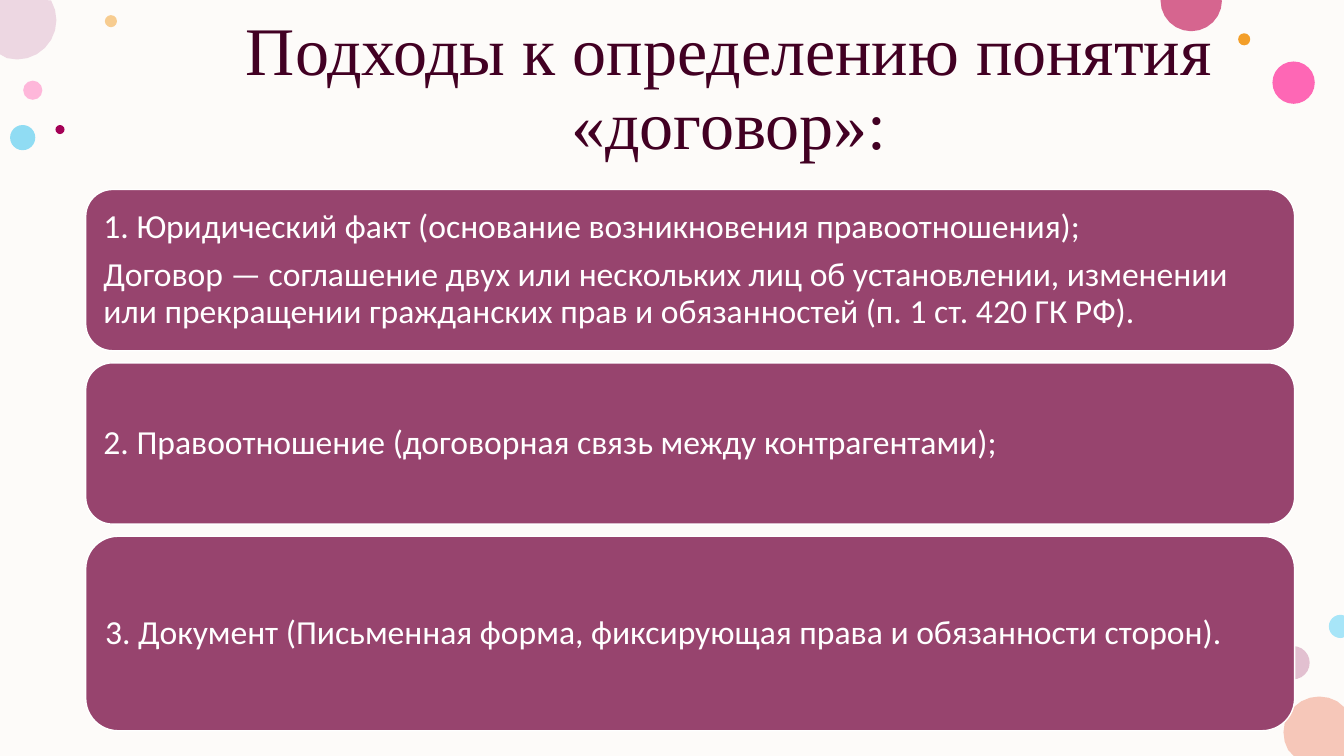
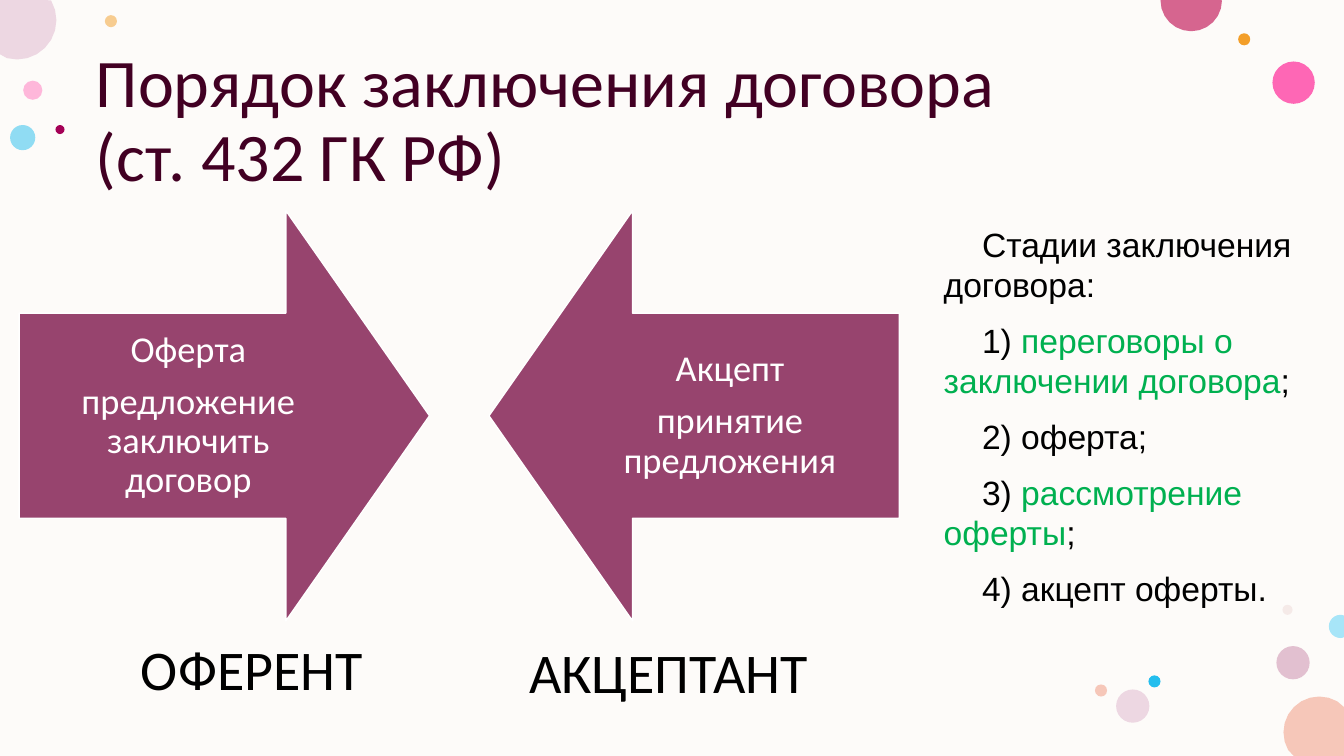
"""Build two slides on the notion of a contract and how it is concluded."""
from math import cos, pi, sin

from lxml import etree
from pptx import Presentation
from pptx.dml.color import RGBColor
from pptx.enum.shapes import MSO_SHAPE
from pptx.enum.text import MSO_ANCHOR, MSO_AUTO_SIZE, PP_ALIGN
from pptx.oxml.ns import qn
from pptx.util import Emu, Pt

RECTANGLE, OVAL = MSO_SHAPE.RECTANGLE, MSO_SHAPE.OVAL
ROUNDED = MSO_SHAPE.ROUNDED_RECTANGLE
RIGHT_ARROW, LEFT_ARROW = MSO_SHAPE.RIGHT_ARROW, MSO_SHAPE.LEFT_ARROW
LEFT, CENTER = PP_ALIGN.LEFT, PP_ALIGN.CENTER
MIDDLE, TOP = MSO_ANCHOR.MIDDLE, MSO_ANCHOR.TOP
NO_AUTOFIT = MSO_AUTO_SIZE.NONE

EMU_PER_PX = 9144
PAGE_WIDTH, PAGE_HEIGHT = 1333, 750
TITLE_ONLY, TITLE_AND_BODY = 5, 1
ARC_STEPS = 24

WHITE = RGBColor(0xFF, 0xFF, 0xFF)
BLACK = RGBColor(0x00, 0x00, 0x00)
CREAM = RGBColor(0xFD, 0xFB, 0xF9)
PLUM = RGBColor(0x97, 0x44, 0x6E)
DARK_PLUM = RGBColor(0x42, 0x00, 0x23)
CRIMSON = RGBColor(0xA4, 0x00, 0x56)
GREEN = RGBColor(0x00, 0xB0, 0x50)
PINK = RGBColor(0xFF, 0x75, 0xBD)
HOT_PINK = RGBColor(0xFF, 0x2F, 0x9C)
ROSE = RGBColor(0xD6, 0x65, 0x8F)
MAUVE = RGBColor(0xC9, 0x87, 0xA8)
LILAC = RGBColor(0xED, 0xD7, 0xE2)
DUSTY = RGBColor(0xE3, 0xBE, 0xBE)
PEACH = RGBColor(0xF6, 0xC7, 0xB9)
ORANGE = RGBColor(0xF3, 0x9E, 0x29)
CYAN = RGBColor(0x24, 0xBE, 0xEE)
PALE_CYAN = RGBColor(0xA7, 0xE5, 0xF8)

SHARED_DOTS = [
    (23, 80, 19, PINK, 50),
    (104, 15, 12, ORANGE, 50),
    (1266, 641, 33, MAUVE, 50),
    (10, 124, 25, CYAN, 50),
    (1262, 61, 42, HOT_PINK, 72),
    (1228, 33, 12, ORANGE, 100),
    (1273, 691, 71, PEACH, 100),
    (-22, -19, 78, LILAC, 100),
    (1151, -30, 61, ROSE, 100),
    (55, 124, 9, CRIMSON, 100),
    (1318, 610, 23, PALE_CYAN, 100),
]
CORNER_DOTS = [
    (1272, 600, 10, DUSTY, 28),
    (1139, 670, 12, CYAN, 100),
    (1107, 684, 33, LILAC, 100),
    (1086, 679, 12, PEACH, 100),
]

APPROACHES_TITLE = "Подходы к определению понятия «договор»:"
APPROACHES = [
    (160, ["1. Юридический факт (основание возникновения правоотношения);",
           "Договор — соглашение двух или нескольких лиц об установлении, "
           "изменении или прекращении гражданских прав и обязанностей "
           "(п. 1 ст. 420 ГК РФ)."]),
    (160, ["2. Правоотношение (договорная связь между контрагентами);"]),
    (193, ["3. Документ (Письменная форма, фиксирующая права и обязанности сторон)."]),
]
APPROACH_LEFT, APPROACH_TOP, APPROACH_WIDTH, APPROACH_GAP = 85, 188, 1199, 12

PROCEDURE_TITLE = "Порядок заключения договора\v(ст. 432 ГК РФ)"
ARROW_TOP, ARROW_SIZE = 209, 407
ARROWS = [
    (RIGHT_ARROW, 19, ["Оферта", "предложение заключить договор"]),
    (LEFT_ARROW, 485, ["Акцепт", "принятие предложения"]),
]
PARTIES = [
    ("ОФЕРЕНТ", (130, 625, 251, 77)),
    ("АКЦЕПТАНТ", (515, 628, 305, 77)),
]
STAGES_BOX = (926, 217, 371, 425)
STAGES = [
    [("Стадии заключения договора:", BLACK)],
    [("1) ", BLACK), ("переговоры о заключении договора", GREEN), (";", BLACK)],
    [("2) оферта;", BLACK)],
    [("3) ", BLACK), ("рассмотрение оферты", GREEN), (";", BLACK)],
    [("4) акцепт оферты.", BLACK)],
]


def px(length):
    return Emu(round(length * EMU_PER_PX))


def place(shape, box):
    shape.left, shape.top, shape.width, shape.height = map(px, box)


def style(para, size, color, name="Calibri", align=LEFT):
    para.alignment = align
    para.font.size = Pt(size)
    para.font.name = name
    para.font.color.rgb = color


def paint(shape, color, opacity=100):
    shape.shadow.inherit = False
    shape.fill.solid()
    shape.fill.fore_color.rgb = color
    shape.line.fill.background()
    if opacity < 100:
        tint = shape._element.spPr.find(".//" + qn("a:srgbClr"))
        etree.SubElement(tint, qn("a:alpha"), val=str(opacity * 1000))


def clipped_circle(left, top, size):
    """Return the corners of a circle cut at the page edges."""
    radius = size / 2
    angles = [2 * pi * step / ARC_STEPS for step in range(ARC_STEPS)]
    points = list(dict.fromkeys(
        (px(min(max(left + radius + radius * cos(angle), 0), PAGE_WIDTH)),
         px(min(max(top + radius + radius * sin(angle), 0), PAGE_HEIGHT)))
        for angle in angles
    ))
    following = points[1:] + points[:1]
    previous = points[-1:] + points[:-1]
    return [
        point for before, point, after in zip(previous, points, following)
        if not any(a == b == c for a, b, c in zip(before, point, after))
    ]


def add_dot(page, left, top, size, color, opacity):
    inside = (0 <= left <= PAGE_WIDTH - size) and (0 <= top <= PAGE_HEIGHT - size)
    if inside:
        dot = page.shapes.add_shape(OVAL, *map(px, (left, top, size, size)))
    else:
        points = clipped_circle(left, top, size)
        builder = page.shapes.build_freeform(*points[0])
        builder.add_line_segments(points[1:])
        dot = builder.convert_to_shape()
    paint(dot, color, opacity)


def add_backdrop(page):
    backdrop = page.shapes.add_shape(
        RECTANGLE, *map(px, (0, 0, PAGE_WIDTH, PAGE_HEIGHT)))
    paint(backdrop, CREAM)
    backdrop._element.getparent().insert(2, backdrop._element)


def add_page(deck, layout, title, title_box, name, align, dots):
    page = deck.slides.add_slide(deck.slide_layouts[layout])
    add_backdrop(page)
    for dot in dots:
        add_dot(page, *dot)
    heading = page.shapes.title
    place(heading, title_box)
    frame = heading.text_frame
    frame.text = title
    frame.auto_size = NO_AUTOFIT
    frame.vertical_anchor = MIDDLE
    para = frame.paragraphs[0]
    para.line_spacing = 0.9
    style(para, 48.6, DARK_PLUM, name, align)
    return page


def add_block(page, kind, box, lines, size, align, inset):
    block = page.shapes.add_shape(kind, *map(px, box))
    paint(block, PLUM)
    block.line.color.rgb = WHITE
    block.line.width = Pt(1)
    frame = block.text_frame
    frame.word_wrap = True
    frame.vertical_anchor = MIDDLE
    frame.margin_left = frame.margin_right = px(inset)
    frame.margin_top = frame.margin_bottom = px(inset)
    frame.text = "\n".join(lines)
    for para in frame.paragraphs:
        para.line_spacing = 0.9
        para.space_after = Pt(size * 0.35)
        style(para, size, WHITE, align=align)
    return block


def add_party(page, name, box):
    label = page.shapes.add_textbox(*map(px, box))
    label.text_frame.word_wrap = True
    label.text_frame.text = name
    style(label.text_frame.paragraphs[0], 40, BLACK)


def fill_stages(body):
    place(body, STAGES_BOX)
    frame = body.text_frame
    frame.auto_size = NO_AUTOFIT
    frame.vertical_anchor = TOP
    for index, spans in enumerate(STAGES):
        para = frame.add_paragraph() if index else frame.paragraphs[0]
        style(para, 24, BLACK, "Arial")
        para.line_spacing = 1.0
        para.space_before = Pt(11)
        properties = para._p.get_or_add_pPr()
        properties.set("marL", "0")
        properties.set("indent", str(px(38)))
        bullet = etree.Element(qn("a:buNone"))
        properties.find(qn("a:defRPr")).addprevious(bullet)
        for text, color in spans:
            span = para.add_run()
            span.text = text
            span.font.size = Pt(24)
            span.font.name = "Arial"
            span.font.color.rgb = color


def build_approaches(deck):
    page = add_page(deck, TITLE_ONLY, APPROACHES_TITLE, (85, 12, 1276, 155),
                    "Times New Roman", CENTER, SHARED_DOTS)
    top = APPROACH_TOP
    for height, lines in APPROACHES:
        box = (APPROACH_LEFT, top, APPROACH_WIDTH, height)
        add_block(page, ROUNDED, box, lines, 24, LEFT, 10)
        top += height + APPROACH_GAP


def build_procedure(deck):
    page = add_page(deck, TITLE_AND_BODY, PROCEDURE_TITLE, (85, 58, 1166, 127),
                    "Calibri", LEFT, SHARED_DOTS + CORNER_DOTS)
    for kind, left, lines in ARROWS:
        box = (left, ARROW_TOP, ARROW_SIZE, ARROW_SIZE)
        arrow = add_block(page, kind, box, lines, 26, CENTER, 22)
        arrow.adjustments[0] = 0.5
        arrow.adjustments[1] = 0.35
    for name, box in PARTIES:
        add_party(page, name, box)
    fill_stages(page.placeholders[1])


def main():
    deck = Presentation()
    deck.slide_width, deck.slide_height = px(PAGE_WIDTH), px(PAGE_HEIGHT)
    build_approaches(deck)
    build_procedure(deck)
    deck.save("out.pptx")


if __name__ == "__main__":
    main()
